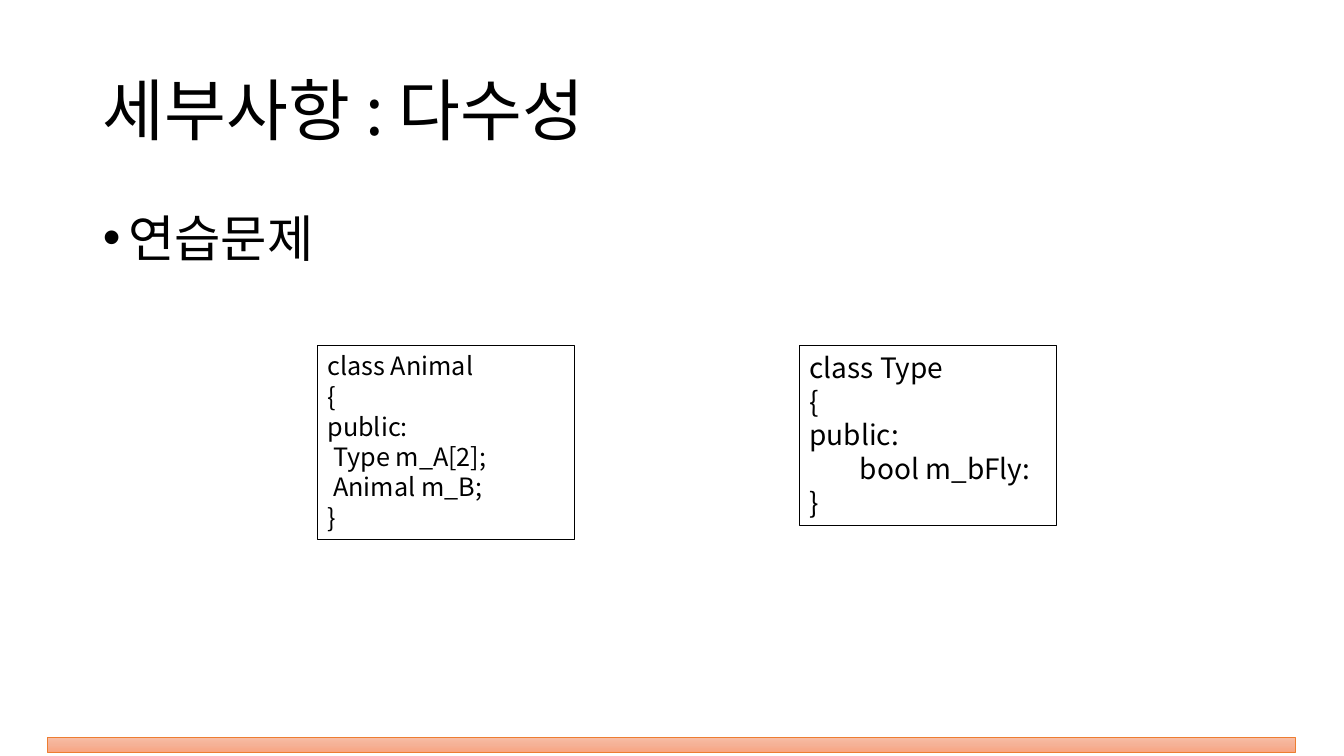
import copy
import dataclasses

import pptx
import pptx.dml.color
import pptx.enum.shapes
import pptx.enum.text
import pptx.oxml.ns
import pptx.oxml.xmlchemy
import pptx.util

RGBColor = pptx.dml.color.RGBColor
BLACK = RGBColor(0x00, 0x00, 0x00)
ORANGE = RGBColor(0xED, 0x7D, 0x31)
BAR_STOPS = [
    (0, RGBColor(0xF7, 0xBD, 0xA5)),
    (0.5, RGBColor(0xF5, 0xB1, 0x96)),
    (1, RGBColor(0xF8, 0xA5, 0x82)),
]
FONT = "Noto Sans CJK KR"
WIDTH = pptx.util.Inches(13.33)
HEIGHT = pptx.util.Inches(7.5)
COL = WIDTH / 100
ROW = HEIGHT / 100


@dataclasses.dataclass
class Area:
    """A place on the grid of 100 columns by 100 rows."""
    left: float
    top: float
    width: float
    height: float

    def box(self) -> tuple[int, int, int, int]:
        return (round(self.left * COL), round(self.top * ROW),
                round(self.width * COL), round(self.height * ROW))


@dataclasses.dataclass
class Code:
    area: Area
    size: int
    lines: list[str]
    inset: int | None = None  # index of the indented line


CODES = [
    Code(Area(23.63, 45.73, 19.13, 25.6), 18,
         ["class Animal", "{", "public:", " Type m_A[2];", " Animal m_B;", "}"]),
    Code(Area(59.49, 45.73, 19.13, 23.73), 20,
         ["class Type", "{", "public:", "bool m_bFly:", "}"], inset=3),
]


def style(frame, size: int) -> None:
    """Format every run, for Latin and Korean letters alike."""
    for para in frame.paragraphs:
        para.alignment = pptx.enum.text.PP_ALIGN.LEFT
        for run in para.runs:
            run.font.size = pptx.util.Pt(size)
            run.font.name = FONT
            run.font.color.rgb = BLACK
            props = run.font._element
            east = props.makeelement(pptx.oxml.ns.qn("a:ea"), {"typeface": FONT})
            props.find(pptx.oxml.ns.qn("a:latin")).addnext(east)


def indent(para, left: float, first: float = 0) -> None:
    props = para._p.get_or_add_pPr()
    props.set("marL", str(pptx.util.Inches(left)))
    props.set("indent", str(pptx.util.Inches(first)))


def fill_holder(holder, area: Area, text: str, size: int):
    holder.left, holder.top, holder.width, holder.height = area.box()
    frame = holder.text_frame
    frame.text = text
    frame.auto_size = pptx.enum.text.MSO_AUTO_SIZE.NONE
    style(frame, size)
    return frame


def add_box(slide, area: Area, color: RGBColor, weight: float):
    shape = slide.shapes.add_shape(
        pptx.enum.shapes.MSO_SHAPE.RECTANGLE, *area.box())
    shape.shadow.inherit = False
    shape.line.color.rgb = color
    shape.line.width = pptx.util.Pt(weight)
    return shape


def add_bar(slide) -> None:
    bar = add_box(slide, Area(3.53, 97.6, 92.87, 1.87), ORANGE, 0.5)
    bar.fill.gradient()
    bar.fill.gradient_angle = 270
    stops = bar._element.spPr.find(".//" + pptx.oxml.ns.qn("a:gsLst"))
    stops.append(copy.deepcopy(stops[-1]))
    for stop, (place, color) in zip(bar.fill.gradient_stops, BAR_STOPS):
        stop.position = place
        stop.color.rgb = color


def add_code(slide, code: Code) -> None:
    box = add_box(slide, code.area, BLACK, 0.75)
    box.fill.background()
    frame = box.text_frame
    frame.text = "\n".join(code.lines)
    frame.word_wrap = True
    frame.vertical_anchor = pptx.enum.text.MSO_ANCHOR.TOP
    frame.auto_size = pptx.enum.text.MSO_AUTO_SIZE.SHAPE_TO_FIT_TEXT
    style(frame, code.size)
    if code.inset is not None:
        para = frame.paragraphs[code.inset]
        para.level = 1
        indent(para, 0.5)


def main() -> None:
    deck = pptx.Presentation()
    deck.slide_width, deck.slide_height = WIDTH, HEIGHT
    slide = deck.slides.add_slide(deck.slide_layouts[1])

    title = fill_holder(slide.shapes.title, Area(6.9, 5.33, 86.25, 19.33),
                        "세부사항 : 다수성", 48)
    title.vertical_anchor = pptx.enum.text.MSO_ANCHOR.MIDDLE
    title.paragraphs[0].line_spacing = 0.9

    body = fill_holder(slide.placeholders[1], Area(6.9, 26.67, 86.25, 63.47),
                       "연습문제", 36)
    body.paragraphs[0].space_before = pptx.util.Pt(10)
    indent(body.paragraphs[0], 0.25, -0.25)

    add_bar(slide)
    for code in CODES:
        add_code(slide, code)
    deck.save("out.pptx")


if __name__ == "__main__":
    main()
